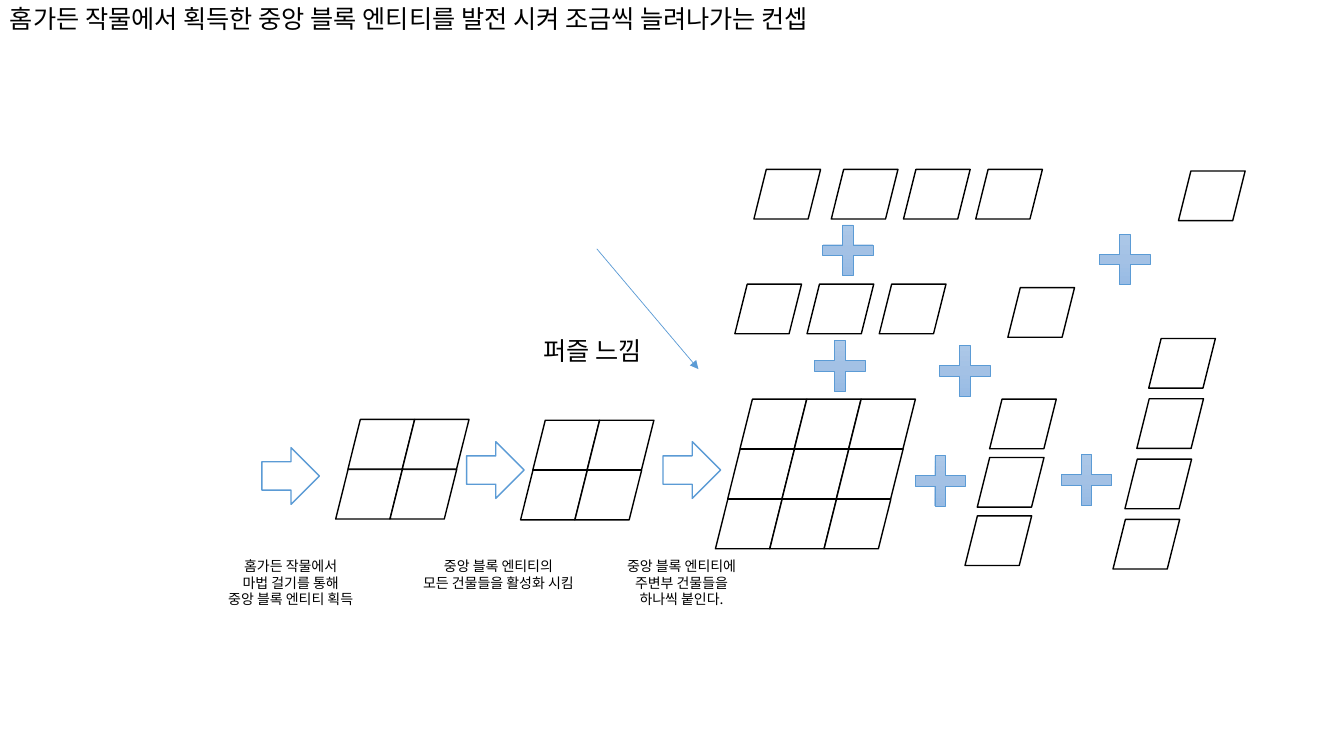
from copy import deepcopy
from pptx import Presentation
from pptx.dml.color import RGBColor
from pptx.enum.shapes import MSO_CONNECTOR as LINK, MSO_SHAPE as SHAPE
from pptx.enum.text import MSO_AUTO_SIZE as FIT, PP_ALIGN as ALIGN
from pptx.oxml.ns import qn
from pptx.oxml.xmlchemy import OxmlElement
from pptx.util import Cm, Pt

FONT = "Noto Sans CJK KR"
BLACK, WHITE, BLUE = "000000", "FFFFFF", "5B9BD5"
PLUS_STOPS = [(0, "B1CBE9"), (0.5, "A3C1E5"), (1, "93B9E4")]

TILE = (1.68, 1.25)
COLUMN_STEP, ROW_STEP, SLANT = 1.37, 1.26, 0.31
ARROW = (1.45, 1.43)
PLUS = (1.73, 1.73)

# (left of bottom row, top, tiles per side)
GRIDS = [(18.03, 10.06, 3), (13.12, 10.59, 2), (8.46, 10.57, 2)]
TILE_RUNS = [
    (24.94, 10.06, -0.31, 1.47, 3),
    (28.95, 8.53, -0.3, 1.52, 4),
    (18.52, 7.16, 1.82, 0, 3),
    (25.4, 7.25, 0, 0, 1),
    (19, 4.27, 0, 0, 1),
    (20.95, 4.27, 1.82, 0, 3),
    (29.7, 4.31, 0, 0, 1),
]
ARROWS = [(6.6, 11.28), (11.76, 11.13), (16.71, 11.13)]
PLUSES = [(20.3, 8.36), (20.5, 5.44), (23.45, 8.48),
          (26.52, 11.23), (22.83, 11.25), (27.48, 5.67)]
POINTER = (15.04, 6.27, 17.6, 9.3)
CAPTIONS = [
    ((5.28, 13.92, 4.09, 1.55), 10, ALIGN.CENTER,
     ["홈가든 작물에서\n마법 걸기를 통해\n중앙 블록 엔티티 획득"]),
    ((10.16, 13.92, 4.8, 1.12), 10, ALIGN.CENTER,
     ["중앙 블록 엔티티의", "모든 건물들을 활성화 시킴"]),
    ((15.37, 13.92, 3.61, 1.55), 10, ALIGN.CENTER,
     ["중앙 블록 엔티티에", "주변부 건물들을", "하나씩 붙인다."]),
    ((13.44, 8.33, 3.3, 1.02), 18, ALIGN.LEFT, ["퍼즐 느낌"]),
    ((0, -0.03, 23.29, 1.02), 18, ALIGN.LEFT,
     ["홈가든 작물에서 획득한 중앙 블록 엔티티를 발전 시켜 조금씩 늘려나가는 컨셉"]),
]


def paint(target, color):
    target.rgb = RGBColor.from_string(color)


def add_figure(shapes, kind, spot, size, line_color, weight=1):
    figure = shapes.add_shape(kind, *map(Cm, (*spot, *size)))
    figure.shadow.inherit = False
    figure.fill.solid()
    paint(figure.fill.fore_color, WHITE)
    paint(figure.line.color, line_color)
    figure.line.width = Pt(weight)
    return figure


def add_tile(shapes, left, top):
    add_figure(shapes, SHAPE.PARALLELOGRAM, (left, top), TILE, BLACK)


def add_plus(shapes, spot):
    plus = add_figure(shapes, SHAPE.MATH_PLUS, spot, PLUS, BLUE, 0.5)
    plus.adjustments[0] = 0.152
    plus.fill.gradient()
    plus.fill.gradient_angle = 270
    stop_list = plus.fill._xPr.find(qn("a:gradFill")).find(qn("a:gsLst"))
    stop_list.append(deepcopy(stop_list[0]))
    for stop, (position, color) in zip(plus.fill.gradient_stops, PLUS_STOPS):
        stop.position = position
        paint(stop.color, color)


def add_pointer(shapes):
    pointer = shapes.add_connector(LINK.STRAIGHT, *map(Cm, POINTER))
    paint(pointer.line.color, BLUE)
    pointer.line.width = Pt(0.5)
    head = OxmlElement("a:tailEnd")
    head.set("type", "triangle")
    pointer.line._get_or_add_ln().append(head)
    pointer._element.spPr.append(OxmlElement("a:effectLst"))


def add_run(paragraph, text, size):
    run = paragraph.add_run()
    run.text = text
    run.font.size = Pt(size)
    run.font.name = FONT
    paint(run.font.color, BLACK)
    east_asian = OxmlElement("a:ea")
    east_asian.set("typeface", FONT)
    run.font._element.append(east_asian)


def add_caption(shapes, box, size, align, paragraphs):
    frame = shapes.add_textbox(*map(Cm, box)).text_frame
    frame.word_wrap = False
    frame.auto_size = FIT.SHAPE_TO_FIT_TEXT
    for index, text in enumerate(paragraphs):
        paragraph = frame.add_paragraph() if index else frame.paragraphs[0]
        paragraph.alignment = align
        for row, line in enumerate(text.split("\n")):
            if row:
                paragraph.add_line_break()
            add_run(paragraph, line, size)


def main():
    deck = Presentation()
    deck.slide_width, deck.slide_height = Cm(33.87), Cm(19.05)
    shapes = deck.slides.add_slide(deck.slide_layouts[6]).shapes

    for left, top, side in GRIDS:
        grid = shapes.add_group_shape().shapes
        for row in reversed(range(side)):
            for column in range(side):
                add_tile(grid, left + column * COLUMN_STEP + (side - 1 - row) * SLANT,
                         top + row * ROW_STEP)
    for left, top, step_x, step_y, count in TILE_RUNS:
        for index in range(count):
            add_tile(shapes, left + index * step_x, top + index * step_y)
    for spot in ARROWS:
        add_figure(shapes, SHAPE.RIGHT_ARROW, spot, ARROW, BLUE)
    for spot in PLUSES:
        add_plus(shapes, spot)
    add_pointer(shapes)
    for caption in CAPTIONS:
        add_caption(shapes, *caption)
    deck.save("out.pptx")


if __name__ == "__main__":
    main()
